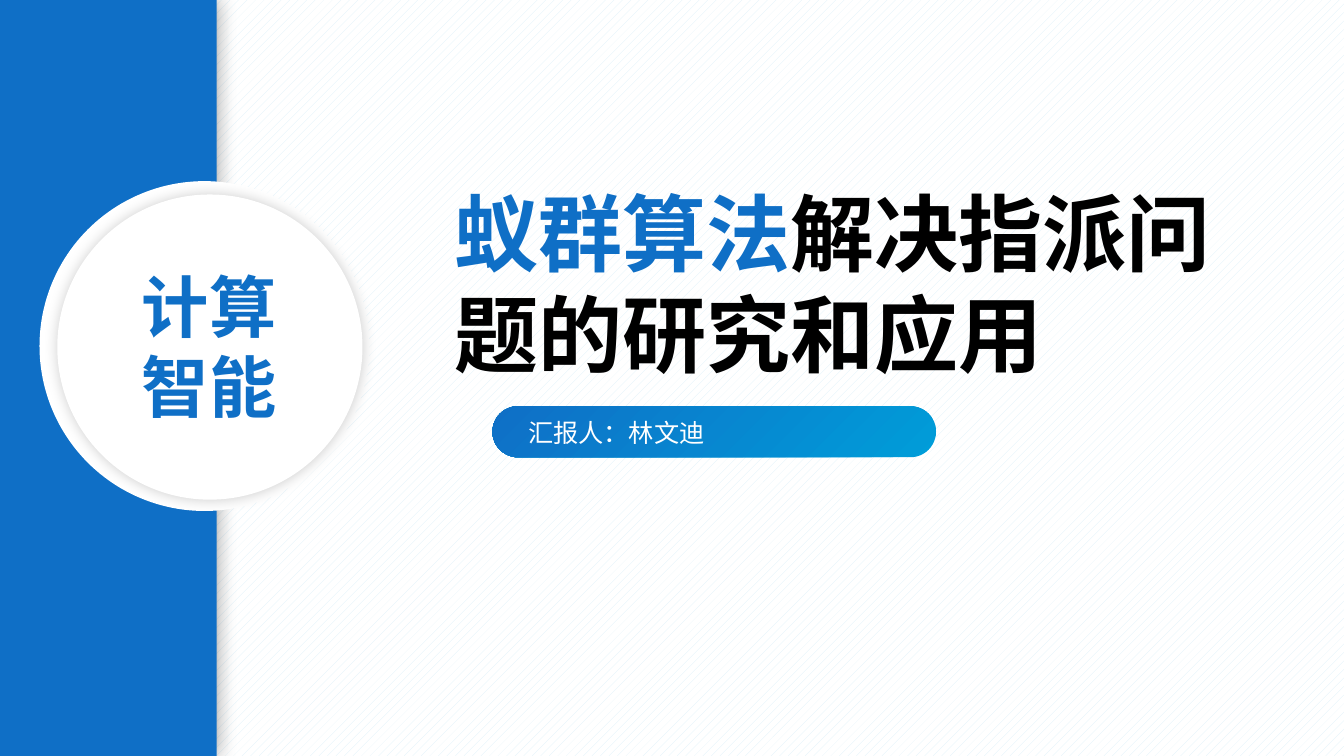
"""Build the title slide of a talk on ant colony optimisation."""
from dataclasses import dataclass
from typing import NamedTuple, Optional

from lxml.etree import SubElement
from pptx import Presentation
from pptx.dml.color import RGBColor
from pptx.enum.dml import MSO_PATTERN
from pptx.enum.shapes import MSO_SHAPE
from pptx.enum.text import MSO_AUTO_SIZE, PP_ALIGN
from pptx.oxml.ns import qn
from pptx.shapes.autoshape import Shape
from pptx.slide import Slide
from pptx.util import Pt


@dataclass(frozen=True)
class Theme:
    font: str = "Arial"
    blue: RGBColor = RGBColor(0x0F, 0x6F, 0xC6)
    cyan: RGBColor = RGBColor(0x00, 0x9D, 0xD9)
    mist: RGBColor = RGBColor(0xDB, 0xEF, 0xF9)
    white: RGBColor = RGBColor(0xFF, 0xFF, 0xFF)
    black: RGBColor = RGBColor(0, 0, 0)
    title_size: float = 60
    badge_size: float = 48
    presenter_size: float = 18


class Box(NamedTuple):
    left: float
    top: float
    width: float
    height: float


class Glow(NamedTuple):
    opacity: int
    blur: float


class Phrase(NamedTuple):
    text: str
    color: RGBColor


@dataclass(frozen=True)
class Panel:
    outline: MSO_SHAPE
    box: Box
    color: RGBColor
    glow: Optional[Glow] = None


@dataclass(frozen=True)
class Caption:
    box: Box
    lines: list[list[Phrase]]
    size: float
    bold: bool = False
    wrap: bool = True
    align: Optional[PP_ALIGN] = None


THEME = Theme()
SLIDE_BOX = Box(0, 0, 960, 540)

PANELS = [
    Panel(MSO_SHAPE.RECTANGLE, Box(0, 0, 154.8, 540), THEME.blue, Glow(40, 15)),
    Panel(MSO_SHAPE.OVAL, Box(28.2, 129.4, 235.6, 235.6), THEME.white),
    Panel(MSO_SHAPE.OVAL, Box(40.9, 138.9, 218, 218), THEME.white, Glow(20, 10)),
]
TITLE = Caption(
    Box(317.5, 126, 576.7, 152.6),
    [[Phrase("蚁群算法", THEME.blue), Phrase("解决指派问题的研究和应用", THEME.black)]],
    THEME.title_size,
    bold=True,
)
PRESENTER = Caption(
    Box(370.1, 294.5, 349.9, 28.8),
    [[Phrase("汇报人：林文迪", THEME.white)]],
    THEME.presenter_size,
)
BADGE = Caption(
    Box(94.3, 185.8, 111.6, 123.8),
    [[Phrase(line, THEME.blue)] for line in ("计算", "智能")],
    THEME.badge_size,
    bold=True,
    wrap=False,
    align=PP_ALIGN.JUSTIFY,
)
PRESENTER_PILL = Box(351.8, 290.2, 316.8, 36.4)


def add_outline(slide: Slide, outline: MSO_SHAPE, box: Box) -> Shape:
    """Add a preset shape without line or shadow."""
    shape = slide.shapes.add_shape(outline, *map(Pt, box))
    shape.shadow.inherit = False
    shape.line.fill.background()
    return shape


def add_backdrop(slide: Slide) -> None:
    """Cover the slide with a faint pattern."""
    fill = add_outline(slide, MSO_SHAPE.RECTANGLE, SLIDE_BOX).fill
    fill.patterned()
    fill.pattern = MSO_PATTERN.PERCENT_20
    fill.fore_color.rgb = THEME.mist
    fill.back_color.rgb = THEME.white


def add_panel(slide: Slide, panel: Panel) -> None:
    """Draw a solid panel with its optional soft shadow."""
    shape = add_outline(slide, panel.outline, panel.box)
    shape.fill.solid()
    shape.fill.fore_color.rgb = panel.color
    if panel.glow:
        effects = shape.element.spPr.find(qn("a:effectLst"))
        shadow = SubElement(effects, qn("a:outerShdw"), blurRad=str(Pt(panel.glow.blur)),
                            dist="0", dir="0", algn="ctr", rotWithShape="0")
        color = SubElement(shadow, qn("a:srgbClr"), val=str(THEME.black))
        SubElement(color, qn("a:alpha"), val=str(panel.glow.opacity * 1000))


def add_pill(slide: Slide, box: Box) -> None:
    """Draw the rounded bar with a gradient spreading from its top left."""
    pill = add_outline(slide, MSO_SHAPE.ROUNDED_RECTANGLE, box)
    pill.adjustments[0] = 0.5
    pill.fill.gradient()
    for stop, color in zip(pill.fill.gradient_stops, (THEME.blue, THEME.cyan)):
        stop.color.rgb = color
    gradient = pill.element.spPr.find(qn("a:gradFill"))
    gradient.remove(gradient.find(qn("a:lin")))
    spread = SubElement(gradient, qn("a:path"), path="circle")
    SubElement(spread, qn("a:fillToRect"), r="100000", b="100000")


def add_caption(slide: Slide, caption: Caption) -> None:
    """Write the lines of a caption in one text box."""
    frame = slide.shapes.add_textbox(*map(Pt, caption.box)).text_frame
    frame.word_wrap = caption.wrap
    frame.auto_size = MSO_AUTO_SIZE.SHAPE_TO_FIT_TEXT
    for index, phrases in enumerate(caption.lines):
        paragraph = frame.add_paragraph() if index else frame.paragraphs[0]
        paragraph.alignment = caption.align
        paragraph.font.name = THEME.font
        paragraph.font.size = Pt(caption.size)
        paragraph.font.bold = caption.bold
        if len(phrases) == 1:
            paragraph.font.color.rgb = phrases[0].color
        for phrase in phrases:
            run = paragraph.add_run()
            run.text = phrase.text
            if len(phrases) > 1:
                run.font.color.rgb = phrase.color


def main() -> None:
    """Assemble and save the slide."""
    deck = Presentation()
    deck.slide_width = Pt(SLIDE_BOX.width)
    deck.slide_height = Pt(SLIDE_BOX.height)
    slide = deck.slides.add_slide(deck.slide_layouts[6])
    add_backdrop(slide)
    add_caption(slide, TITLE)
    add_pill(slide, PRESENTER_PILL)
    add_caption(slide, PRESENTER)
    for panel in PANELS:
        add_panel(slide, panel)
    add_caption(slide, BADGE)
    deck.save("out.pptx")


if __name__ == "__main__":
    main()
